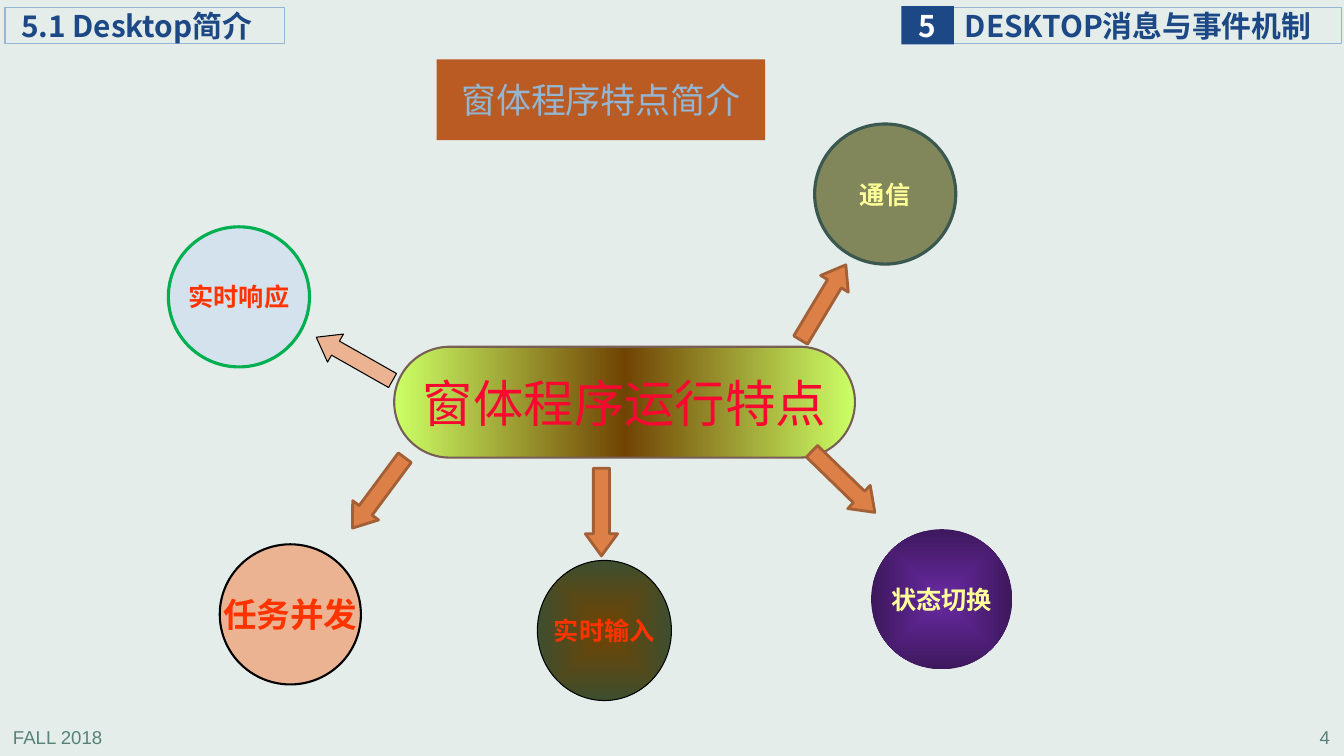
"""Build a slide on the running features of form programs."""
from lxml import etree
from pptx import Presentation
from pptx.dml.color import RGBColor
from pptx.enum.shapes import MSO_SHAPE as Shape
from pptx.enum.text import MSO_ANCHOR as Anchor, PP_ALIGN as Align
from pptx.oxml import parse_xml
from pptx.oxml.ns import nsdecls, qn
from pptx.util import Inches, Pt

CJK = "Noto Sans CJK SC"
RADIAL = '<a:path path="shape"><a:fillToRect l="50000" t="50000" r="50000" b="50000"/></a:path>'
LINEAR = '<a:lin ang="0" scaled="0"/>'


def paint(shape, fill=None, line=None, width=0.75):
    """Fill with a hex colour or a (stops, direction) gradient, then outline."""
    if isinstance(fill, tuple):
        stops, direction = fill
        shape.fill.gradient()
        old = shape._element.spPr.find(qn("a:gradFill"))
        marks = "".join(
            f'<a:gs pos="{place * 1000}"><a:srgbClr val="{color}"/></a:gs>'
            for place, color in stops)
        old.getparent().replace(old, parse_xml(
            f'<a:gradFill {nsdecls("a")} rotWithShape="1"><a:gsLst>{marks}</a:gsLst>'
            f'{direction}</a:gradFill>'))
    elif fill:
        shape.fill.solid()
        shape.fill.fore_color.rgb = RGBColor.from_string(fill)
    else:
        shape.fill.background()
    if line:
        shape.line.color.rgb = RGBColor.from_string(line)
        shape.line.width = Pt(width)
    else:
        shape.line.fill.background()


def write(shape, text, size, color, bold=False, align=Align.CENTER, font=CJK,
          wrap=False, insets=(0.1, 0.05, 0.1, 0.05)):
    """Put one formatted line of text into a shape."""
    frame = shape.text_frame
    left, top, right, bottom = map(Inches, insets)
    frame_format = {"word_wrap": wrap, "vertical_anchor": Anchor.MIDDLE,
                    "margin_left": left, "margin_top": top,
                    "margin_right": right, "margin_bottom": bottom}
    for name, value in frame_format.items():
        setattr(frame, name, value)
    para = frame.paragraphs[0]
    para.alignment = align
    span = para.add_run()
    span.text = text
    for name, value in {"size": Pt(size), "bold": bold, "name": font}.items():
        setattr(span.font, name, value)
    span.font.color.rgb = RGBColor.from_string(color)
    etree.SubElement(span._r.get_or_add_rPr(), qn("a:ea"), typeface=font)


deck = Presentation()
deck.slide_width, deck.slide_height = Inches(13.33), Inches(7.5)
page = deck.slides.add_slide(deck.slide_layouts[5])
page.background.fill.solid()
page.background.fill.fore_color.rgb = RGBColor.from_string("E5EDEB")

title = page.shapes.title
title_place = {"left": 4.33, "top": 0.59, "width": 3.26, "height": 0.8}
for name, value in title_place.items():
    setattr(title, name, Inches(value))
paint(title, "B95B22")
write(title, "窗体程序特点简介", 25, "94B6D2", wrap=True)

footers = [(0.03, "FALL 2018", Align.LEFT), (10.51, "4", Align.RIGHT)]
for left, text, align in footers:
    box = page.shapes.add_textbox(Inches(left), Inches(7.16), Inches(2.78), Inches(0.31))
    write(box, text, 13.3, "578279", align=align, font="Arial", wrap=True)

headers = [
    (9.45, 0.07, 3.86, 0.36, None, "94B6D2", "DESKTOP消息与事件机制", "1C4885", Align.LEFT, 0.12),
    (8.94, 0.06, 0.52, 0.38, "1C4885", None, "5", "FFFFFF", Align.CENTER, 0),
    (0.05, 0.07, 2.77, 0.36, None, "94B6D2", "5.1 Desktop简介", "1C4885", Align.LEFT, 0.16),
]
for *place, fill, line, text, color, align, inset in headers:
    header = page.shapes.add_shape(Shape.RECTANGLE, *map(Inches, place))
    header.shadow.inherit = False
    paint(header, fill, line)
    write(header, text, 21.3, color, True, align, insets=(inset, 0, 0, 0))

brown_green = ([(0, "704404"), (100, "3D4E2E")], RADIAL)
purple = ([(0, "692AA2"), (100, "3D185D")], RADIAL)
features = [
    (5.33, 5.56, 1.33, brown_green, "000000", 0.75, "实时输入", 18, "FF3300"),
    (8.64, 5.25, 1.4, purple, None, 0, "状态切换", 18, "FFFF99"),
    (2.18, 5.4, 1.4, "EBB391", "000000", 1.5, "任务并发", 24, "FF3300"),
    (1.67, 2.25, 1.4, "D4E2ED", "00B050", 2.25, "实时响应", 18, "FF3300"),
    (8.08, 1.23, 1.4, "81875A", "3A5750", 2.25, "通信", 18, "FFFF99"),
]
for left, top, width, fill, line, weight, text, size, color in features:
    circle = page.shapes.add_shape(
        Shape.OVAL, Inches(left), Inches(top), Inches(width), Inches(1.39))
    circle.shadow.inherit = False
    paint(circle, fill, line, weight)
    write(circle, text, size, color, True)

hub = page.shapes.add_shape(
    Shape.ROUNDED_RECTANGLE, Inches(3.91), Inches(3.44), Inches(4.57), Inches(1.1))
hub.shadow.inherit = False
hub.adjustments[0] = 0.5
paint(hub, ([(0, "CCFF66"), (50, "704404"), (100, "CCFF66")], LINEAR), "775F55", 1.5)
write(hub, "窗体程序运行特点", 36, "F80830")

arrows = [
    (7.73, 2.84, 301, "DD8047", "A35F35", 2),
    (7.93, 4.62, 44.2, "DD8047", "A35F35", 2),
    (5.53, 4.92, 90, "DD8047", "A35F35", 2),
    (3.32, 4.73, 126.6, "DD8047", "A35F35", 2),
    (3.08, 3.4, 209.6, "EBB391", "000000", 0.75),
]
for left, top, angle, fill, line, weight in arrows:
    arrow = page.shapes.add_shape(
        Shape.RIGHT_ARROW, Inches(left), Inches(top), Inches(0.87), Inches(0.32))
    arrow.shadow.inherit = False
    arrow.rotation = angle
    arrow.adjustments[1] = 0.685
    paint(arrow, fill, line, weight)

deck.save("out.pptx")
